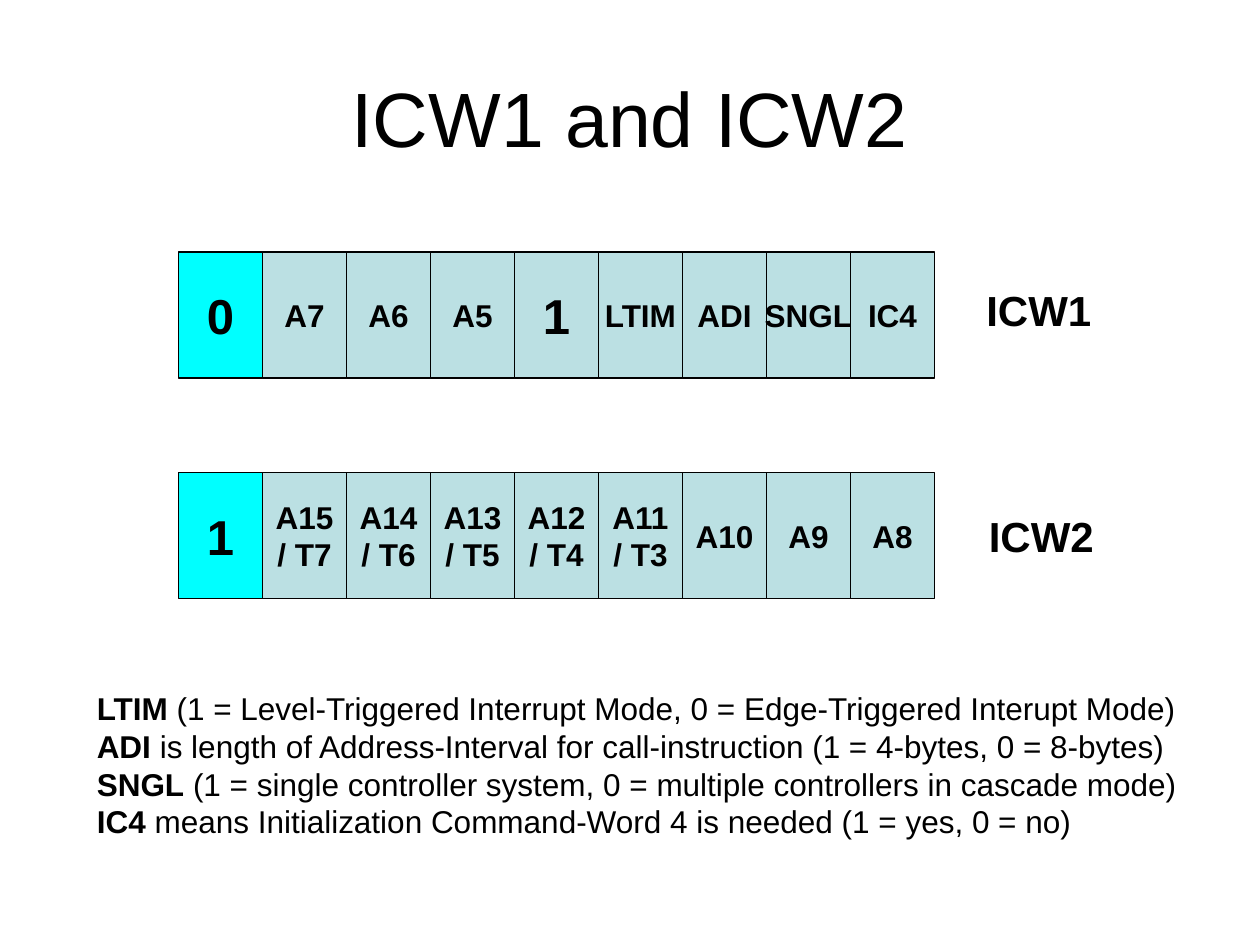
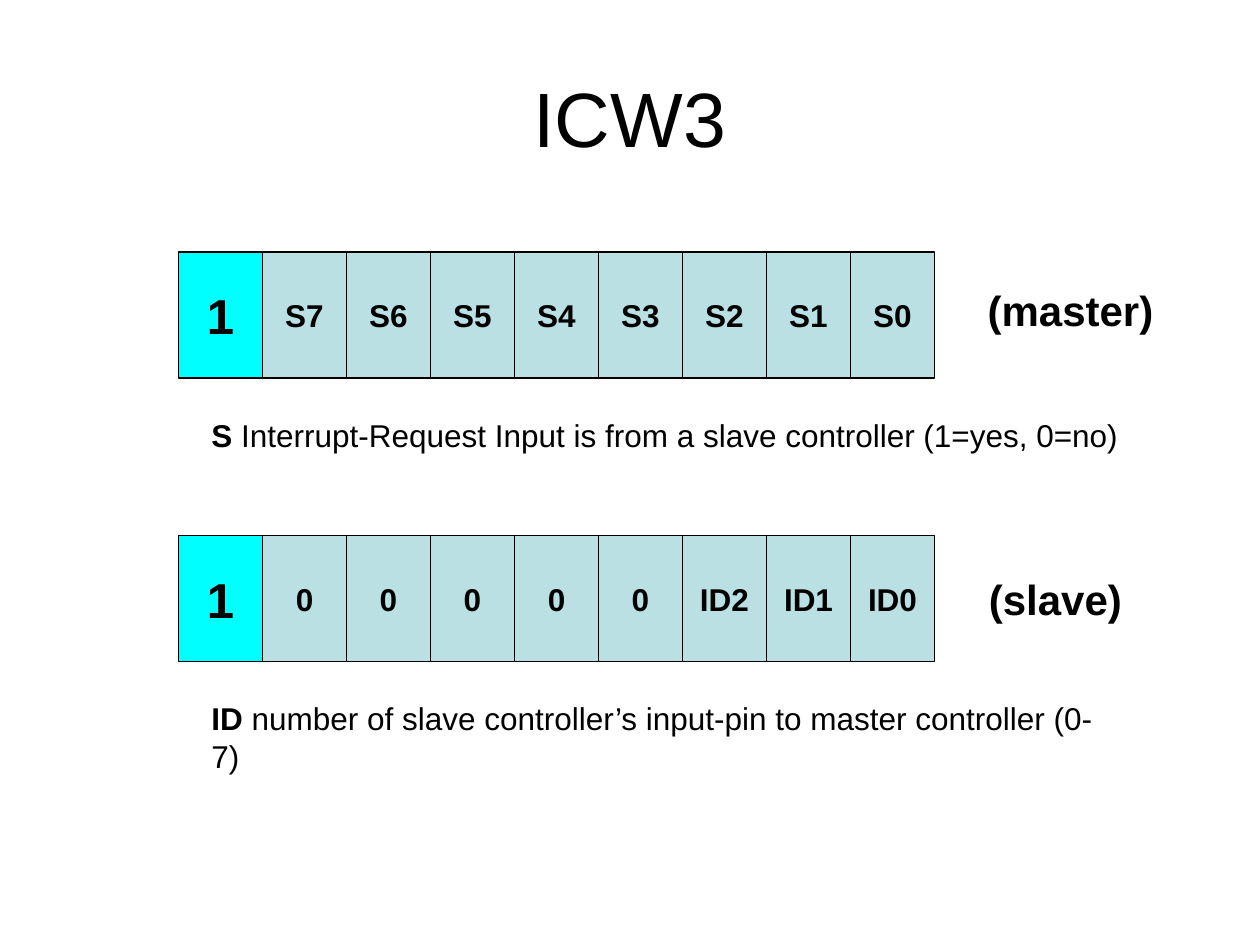
from pptx import Presentation
from pptx.dml.color import RGBColor
from pptx.enum.shapes import MSO_SHAPE
from pptx.enum.text import MSO_ANCHOR, PP_ALIGN
from pptx.util import Inches, Pt

COLORS = {"text": "000000", "address": "00FFFF", "bit": "BBE0E3"}
FONT = "Arial"
ROW_LEFT, CELL_W, CELL_H = 17 / 12, 2 / 3, 1

# Each word: top, cells (address bit first), label, label left, top and width
# Each note: left, top, width, height, lines of (bold term, explanation)
SLIDES = [
    {
        "title": "ICW1 and ICW2",
        "words": [
            (2, ["0", "A7", "A6", "A5", "1", "LTIM", "ADI", "SNGL", "IC4"],
             "ICW1", 7.73, 2.21, 1.1),
            (3.75, ["1", "A15\n/ T7", "A14\n/ T6", "A13\n/ T5", "A12\n/ T4",
                    "A11\n/ T3", "A10", "A9", "A8"],
             "ICW2", 7.75, 4, 1.1),
        ],
        "notes": [
            (0.67, 5.42, 8.8, 1.3, [
                ("LTIM", " (1 = Level-Triggered Interrupt Mode, "
                         "0 = Edge-Triggered Interupt Mode)"),
                ("ADI", " is length of Address-Interval for call-instruction "
                        "(1 = 4-bytes, 0 = 8-bytes)"),
                ("SNGL", " (1 = single controller system, "
                         "0 = multiple controllers in cascade mode)"),
                ("IC4", " means Initialization Command-Word 4 is needed "
                        "(1 = yes, 0 = no)"),
            ]),
        ],
    },
    {
        "title": "ICW3",
        "words": [
            (2, ["1", "S7", "S6", "S5", "S4", "S3", "S2", "S1", "S0"],
             "(master)", 7.74, 2.21, 1.6),
            (4.25, ["1", "0", "0", "0", "0", "0", "ID2", "ID1", "ID0"],
             "(slave)", 7.75, 4.5, 1.35),
        ],
        "notes": [
            (1.58, 3.25, 7.41, 0.4, [
                ("S", " Interrupt-Request Input is from a slave controller "
                      "(1=yes, 0=no)"),
            ]),
            (1.58, 5.5, 7.41, 0.4, [
                ("ID", " number of slave controller’s input-pin to master "
                       "controller (0-7)"),
            ]),
        ],
    },
]


def rgb(name):
    return RGBColor.from_string(COLORS[name])


def write(sp, lines, size=18, align=PP_ALIGN.LEFT, anchor=MSO_ANCHOR.TOP,
          wrap=True):
    """Fill a shape with lines, each a list of (text, bold) runs."""
    tf = sp.text_frame
    tf.word_wrap = wrap
    tf.vertical_anchor = anchor
    for i, runs in enumerate(lines):
        p = tf.add_paragraph() if i else tf.paragraphs[0]
        p.alignment = align
        for text, bold in runs:
            r = p.add_run()
            r.text = text
            r.font.name, r.font.size, r.font.bold = FONT, Pt(size), bold
            r.font.color.rgb = rgb("text")


def add_box(s, left, top, width, height):
    return s.shapes.add_textbox(*map(Inches, (left, top, width, height)))


def add_word(s, top, cells, label, label_left, label_top, label_width):
    """Draw a command word: its address bit, eight data bits and label."""
    for i, cell in enumerate(cells):
        sp = s.shapes.add_shape(
            MSO_SHAPE.RECTANGLE, Inches(ROW_LEFT + i * CELL_W), Inches(top),
            Inches(CELL_W), Inches(CELL_H))
        sp.shadow.inherit = False
        sp.fill.solid()
        sp.fill.fore_color.rgb = rgb("bit" if i else "address")
        sp.line.color.rgb = rgb("text")
        sp.line.width = Pt(0.75)
        is_fixed = i == 0 or cell == "1"
        write(sp, [[(line, True)] for line in cell.split("\n")],
              size=28 if is_fixed else 18, align=PP_ALIGN.CENTER,
              anchor=MSO_ANCHOR.MIDDLE, wrap=False)
    write(add_box(s, label_left, label_top, label_width, 0.5),
          [[(label, True)]], size=24)


def main():
    prs = Presentation()
    prs.slide_width, prs.slide_height = Inches(10), Inches(7.5)
    for content in SLIDES:
        s = prs.slides.add_slide(prs.slide_layouts[6])
        write(add_box(s, 0.5, 0.3, 9, 1.25), [[(content["title"], False)]],
              size=44, align=PP_ALIGN.CENTER, anchor=MSO_ANCHOR.MIDDLE)
        for word in content["words"]:
            add_word(s, *word)
        for *place, lines in content["notes"]:
            write(add_box(s, *place),
                  [[(term, True), (rest, False)] for term, rest in lines])
    prs.save("out.pptx")


if __name__ == "__main__":
    main()
